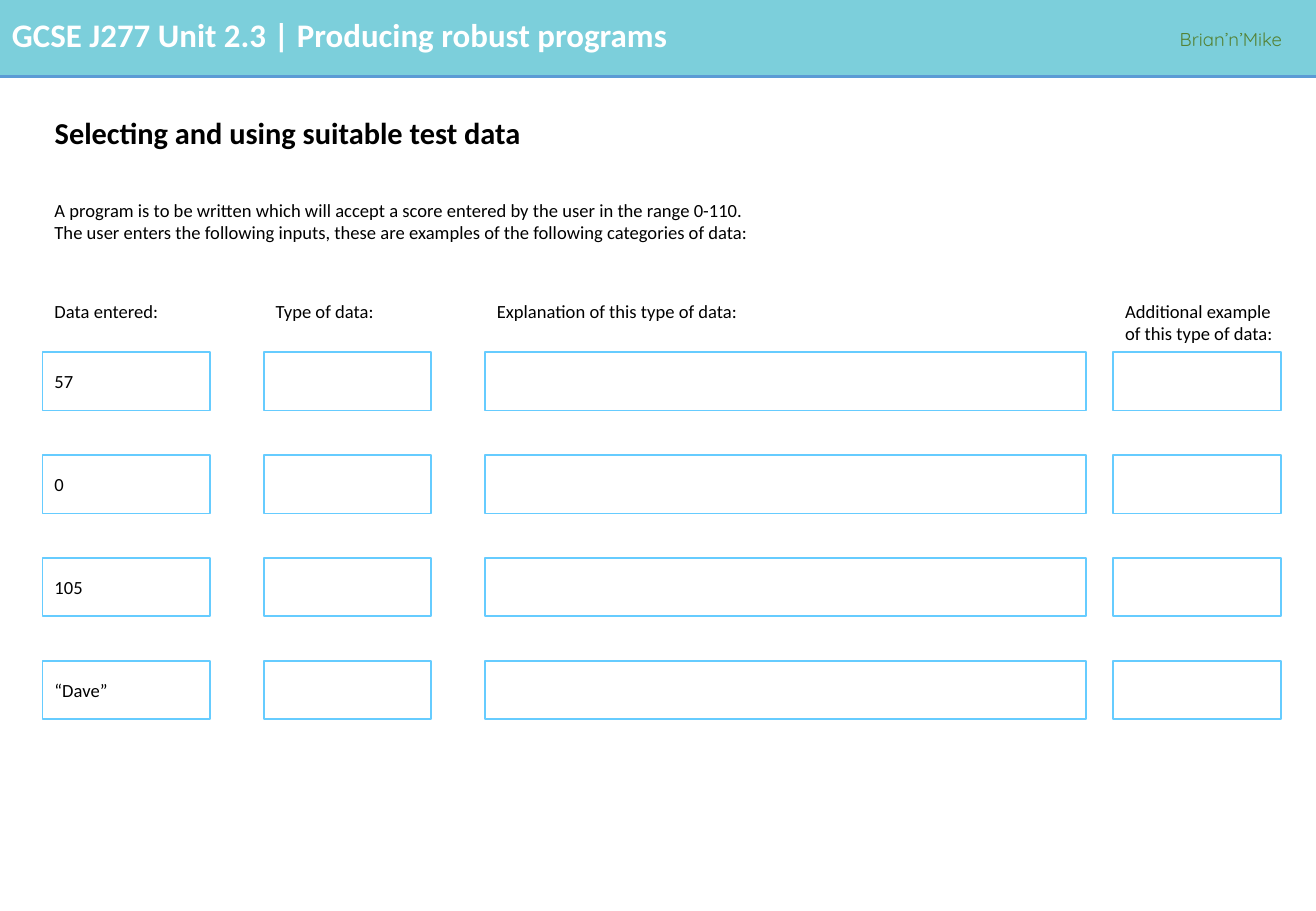
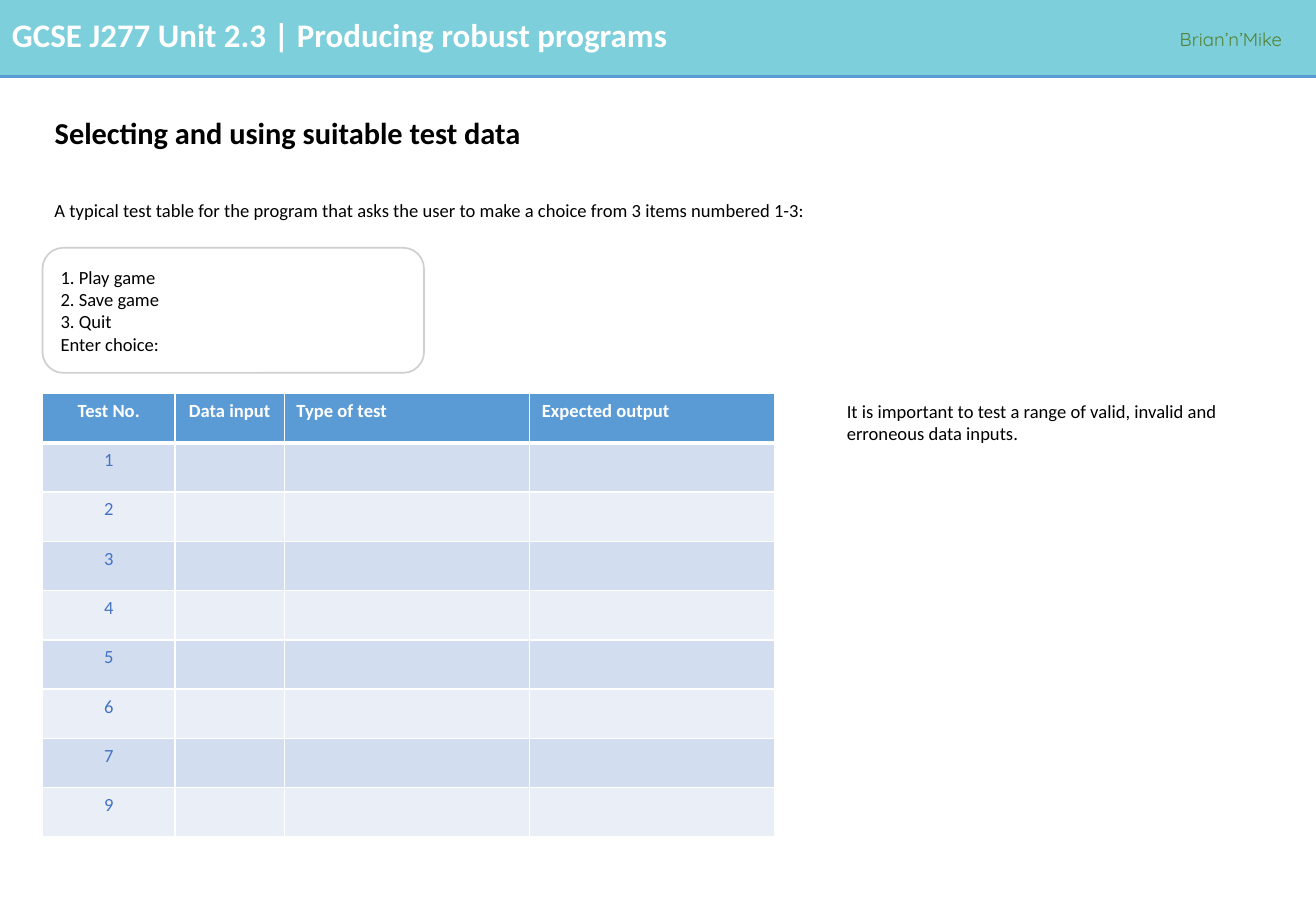
import pptx
import pptx.util
import pptx.dml.color
import pptx.enum.shapes
import pptx.enum.text
import pptx.oxml
import pptx.oxml.ns

Inches = pptx.util.Inches
Pt = pptx.util.Pt
ALIGN = pptx.enum.text.PP_ALIGN
ANCHOR = pptx.enum.text.MSO_ANCHOR
SHAPE = pptx.enum.shapes.MSO_SHAPE

WIDTH, HEIGHT = 10.83, 7.5
MARGIN = 0.35
COLORS = {
    "band": "7CCFDB",
    "rule": "5B9BD5",
    "white": "FFFFFF",
    "text": "000000",
    "brand": "548235",
    "answer": "66CCFF",
    "menu": "D0CECE",
    "header": "5B9BD5",
    "odd": "D2DEEF",
    "even": "EAEFF7",
    "number": "4472C4",
}


def rgb(name):
    """Return the named colour."""
    return pptx.dml.color.RGBColor.from_string(COLORS[name])


def write_text(tf, text, size=11, color="text", bold=False, font="Calibri",
               align=ALIGN.LEFT, spacing=None, after=None):
    """Write one paragraph per line of text in the given format."""
    for i, line in enumerate(text.split("\n")):
        p = tf.add_paragraph() if i else tf.paragraphs[0]
        p.alignment = align
        p.line_spacing = spacing
        p.space_after = after
        f = p.font
        if line:
            r = p.add_run()
            r.text = line
            f = r.font
        f.name, f.size, f.bold = font, Pt(size), bold
        f.color.rgb = rgb(color)


def add_text(s, box, text, wrap=True, **fmt):
    """Add a text box at box (left, top, width, height)."""
    sp = s.shapes.add_textbox(*map(Inches, box))
    sp.text_frame.word_wrap = wrap
    write_text(sp.text_frame, text, **fmt)


def add_box(s, kind, box, fill=None, line=None, text=""):
    """Add a preset shape with optional fill, outline and text."""
    sp = s.shapes.add_shape(kind, *map(Inches, box))
    sp.shadow.inherit = False
    if fill:
        sp.fill.solid()
        sp.fill.fore_color.rgb = rgb(fill)
    else:
        sp.fill.background()
    if line:
        sp.line.color.rgb = rgb(line)
        sp.line.width = Pt(1)
    else:
        sp.line.fill.background()
    if text:
        sp.text_frame.vertical_anchor = ANCHOR.MIDDLE
        write_text(sp.text_frame, text)


def add_band(s, box):
    """Draw the course band with its rule, heading and brand name."""
    x, y, w, h = box
    add_box(s, SHAPE.RECTANGLE, box, fill="band")
    rule = s.shapes.add_connector(
        pptx.enum.shapes.MSO_CONNECTOR.STRAIGHT,
        *map(Inches, (x, y + h, x + w, y + h)))
    rule.line.color.rgb = rgb("rule")
    rule.line.width = Pt(2.25)
    rule._element.spPr.append(pptx.oxml.parse_xml(
        f'<a:effectLst {pptx.oxml.ns.nsdecls("a")}/>'))
    add_text(s, (x, y + 0.07, 9.48, 0.43),
             "GCSE J277 Unit 2.3 | Producing robust programs",
             size=19.5, color="white", bold=True)
    add_text(s, (x + w - 1.22, y + 0.17, 1.22, 0.29), "Brian’n’Mike",
             wrap=False, color="brand", font="Quicksand", spacing=1.07,
             after=Pt(8))


def add_page(prs, title, intro):
    """Add a slide with the shared band, title and introduction."""
    s = prs.slides.add_slide(prs.slide_layouts[5])
    add_band(s, (0, 0, WIDTH, 0.63))
    sp = s.shapes.title
    sp.left, sp.top, sp.width, sp.height = map(
        Inches, (MARGIN, 0.83, 10.1, 0.56))
    sp.text_frame.vertical_anchor = ANCHOR.MIDDLE
    write_text(sp.text_frame, title, size=18, bold=True, spacing=0.9)
    add_text(s, (MARGIN, 1.59, 10.1, 0.47), intro)
    return s


def add_answer_grid(s, box, columns, entries):
    """Draw labelled columns of boxes; entries fill the first column."""
    x, y, w, h = box
    label_h, box_h = 0.48, 0.48
    pitch = (h - label_h - box_h) / (len(entries) - 1)
    for col, (label, dx, box_w, label_w) in enumerate(columns):
        add_text(s, (x + dx, y, label_w, label_h), label)
        for row, entry in enumerate(entries):
            add_box(s, SHAPE.RECTANGLE,
                    (x + dx, y + label_h + row * pitch, box_w, box_h),
                    line="answer", text="" if col else entry)


def format_cell(cell, fill, top=1, bottom=1):
    """Give a cell white borders and a solid fill."""
    tcPr = cell._tc.get_or_add_tcPr()
    for tag, width in (("lnL", 1), ("lnR", 1), ("lnT", top), ("lnB", bottom)):
        tcPr.append(pptx.oxml.parse_xml(
            f'<a:{tag} {pptx.oxml.ns.nsdecls("a")} w="{Pt(width)}">'
            f'<a:solidFill><a:srgbClr val="{COLORS["white"]}"/></a:solidFill>'
            f'</a:{tag}>'))
    cell.fill.solid()
    cell.fill.fore_color.rgb = rgb(fill)


def add_test_table(s, box, columns, numbers):
    """Draw the test table with numbered blank rows."""
    x, y, w, h = box
    rows = [[name for name, _, _ in columns]]
    rows += [[n] + [""] * (len(columns) - 1) for n in numbers]
    table = s.shapes.add_table(
        len(rows), len(columns), *map(Inches, box)).table
    for c, (_, width, _) in enumerate(columns):
        table.columns[c].width = Inches(width)
    for r, values in enumerate(rows):
        table.rows[r].height = Inches(h / len(rows))
        fill = "header" if r == 0 else "odd" if r % 2 else "even"
        for c, value in enumerate(values):
            cell = table.cell(r, c)
            format_cell(cell, fill, top=3 if r == 1 else 1,
                        bottom=1 if r else 3)
            write_text(cell.text_frame, value, bold=r == 0,
                       color="number" if r else "white",
                       align=columns[c][2])


def build_data_types(prs):
    """Build the slide on categories of input data."""
    s = add_page(
        prs, "Selecting and using suitable test data",
        "A program is to be written which will accept a score entered by "
        "the user in the range 0-110.\n"
        "The user enters the following inputs, these are examples of the "
        "following categories of data:")
    columns = [
        ("Data entered:", 0, 1.38, 1.21),
        ("Type of data:", 1.82, 1.38, 1.21),
        ("Explanation of this type of data:", 3.64, 4.95, 5.68),
        ("Additional example of this type of data:", 8.81, 1.38, 1.51),
    ]
    add_answer_grid(s, (MARGIN, 2.42, 10.19, 3.5), columns,
                    ["57", "0", "105", "“Dave”"])


def build_test_table(prs):
    """Build the slide with the menu and its test table."""
    s = add_page(
        prs, "Selecting and using suitable test data",
        "A typical test table for the program that asks the user to make a "
        "choice from 3 items numbered 1-3:")
    columns = [
        ("Test No.", 1.09, ALIGN.CENTER),
        ("Data input", 0.9, ALIGN.CENTER),
        ("Type of test", 2.02, ALIGN.LEFT),
        ("Expected output", 2.02, ALIGN.LEFT),
    ]
    add_test_table(s, (MARGIN, 3.24, 6.03, 3.65), columns, "12345679")
    add_box(s, SHAPE.ROUNDED_RECTANGLE, (MARGIN, 2.04, 3.14, 1.03),
            line="menu",
            text="1. Play game\n2. Save game\n3. Quit\nEnter choice:")
    add_text(s, (6.87, 3.24, 3.58, 0.47),
             "It is important to test a range of valid, invalid and "
             "erroneous data inputs.")


def main():
    """Build and save the presentation."""
    prs = pptx.Presentation()
    prs.slide_width, prs.slide_height = Inches(WIDTH), Inches(HEIGHT)
    build_data_types(prs)
    build_test_table(prs)
    prs.save("out.pptx")


if __name__ == "__main__":
    main()
